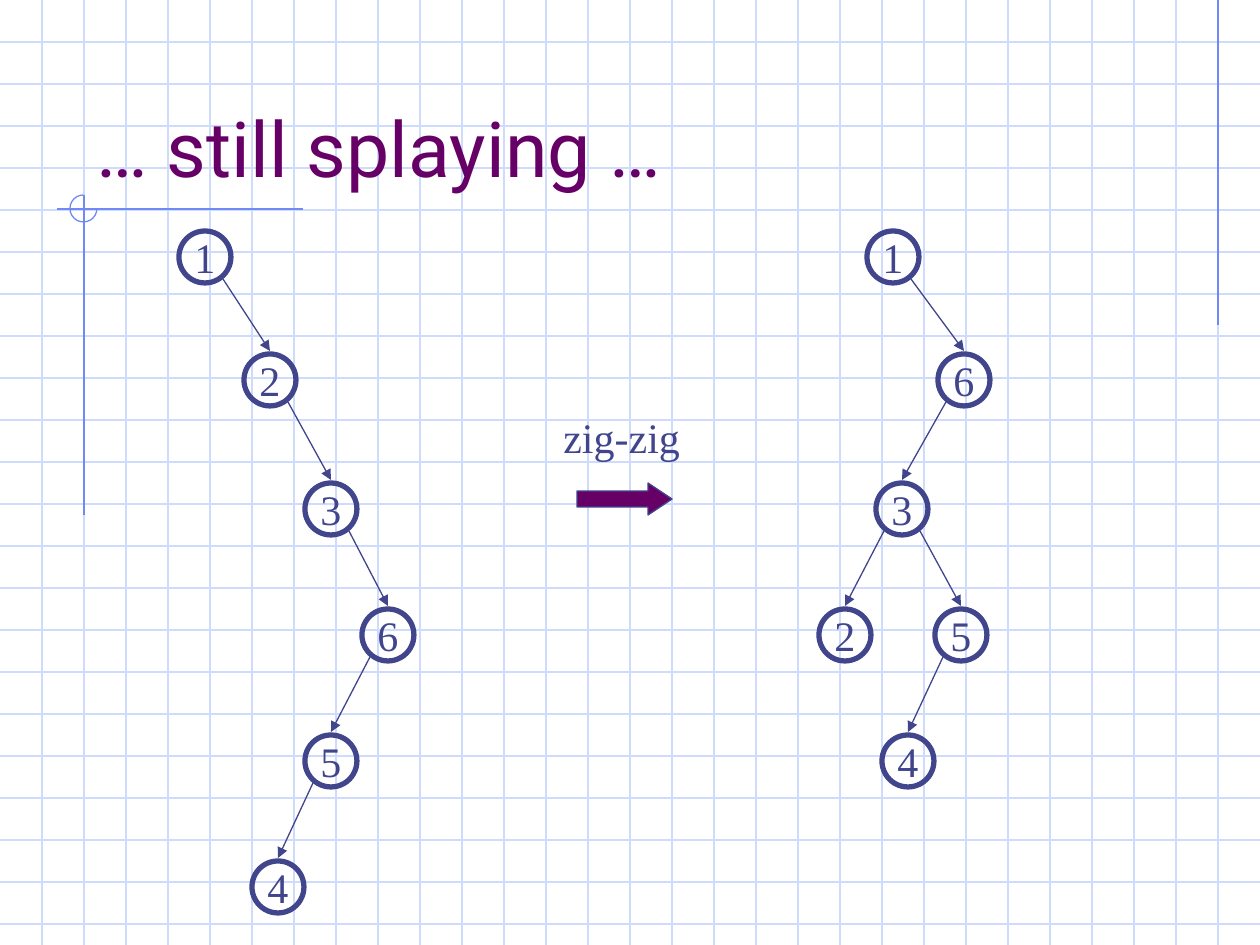
from lxml.etree import SubElement
from pptx import Presentation
from pptx.dml.color import RGBColor
from pptx.enum.shapes import MSO_CONNECTOR, MSO_SHAPE
from pptx.enum.text import MSO_ANCHOR, PP_ALIGN
from pptx.oxml.ns import qn
from pptx.util import Emu, Pt

WIDE, HIGH, STEP = 1260, 945, 42
GRID, RULE, INK, PLUM = "CFDBFD", "6F89F7", "40458C", "660066"
SERIF = "Times New Roman"

TITLE = "… still splaying …"
MOVE = "zig-zig"
RULES = [(1218, 0, 1218, 325), (303, 209, 57, 209), (84, 195, 84, 515)]

# Centre heights of the tree levels
ROWS = [257, 380, 509, 635, 761, 887]
# Each node: key, centre x, level, parent key
BEFORE = [(1, 205, 0, None), (2, 270, 1, 1), (3, 331, 2, 2),
          (6, 388, 3, 3), (5, 331, 4, 6), (4, 278, 5, 5)]
AFTER = [(1, 893, 0, None), (6, 964, 1, 1), (3, 902, 2, 6),
         (2, 845, 3, 3), (5, 961, 3, 3), (4, 908, 4, 5)]
NODE = 52
# Where an edge leaves its parent, and how far above the child it ends
OUT_X, OUT_Y, GAP = 18, 22, 29


def px(n):
    return Emu(round(n * 914400 / 126))


def color(text):
    return RGBColor.from_string(text)


def line(x1, y1, x2, y2, tint, arrow=False):
    link = shapes.add_connector(MSO_CONNECTOR.STRAIGHT, px(x1), px(y1), px(x2), px(y2))
    link.line.color.rgb = color(tint)
    link.line.width = Pt(0.75)
    SubElement(link._element.spPr, qn("a:effectLst"))
    if arrow:
        SubElement(link.line._get_or_add_ln(), qn("a:tailEnd"), type="triangle")


def shape(kind, box, tint, width, fill=None):
    item = shapes.add_shape(kind, *map(px, box))
    item.shadow.inherit = False
    item.line.color.rgb = color(tint)
    item.line.width = Pt(width)
    if fill:
        item.fill.solid()
        item.fill.fore_color.rgb = color(fill)
    else:
        item.fill.background()
    return item


def write(item, text, size, face, tint, align=PP_ALIGN.LEFT, **frame):
    """Put one line of text in a shape; frame holds text frame settings."""
    for name, value in frame.items():
        setattr(item.text_frame, name, value)
    para = item.text_frame.paragraphs[0]
    para.alignment = align
    run = para.add_run()
    run.text = text
    for name, value in {"size": Pt(size), "name": face}.items():
        setattr(run.font, name, value)
    run.font.color.rgb = color(tint)


def tree(nodes):
    spots = {key: (x, ROWS[row]) for key, x, row, _ in nodes}
    for key, x, row, top in nodes:
        y = ROWS[row]
        box = (x - NODE // 2, y - NODE // 2, NODE, NODE)
        write(shape(MSO_SHAPE.OVAL, box, INK, 3), str(key), 24, SERIF, INK,
              PP_ALIGN.CENTER, word_wrap=False, vertical_anchor=MSO_ANCHOR.MIDDLE)
        if top:
            top_x, top_y = spots[top]
            side = OUT_X if x > top_x else -OUT_X
            line(top_x + side, top_y + OUT_Y, x, y - GAP, INK, True)


deck = Presentation()
deck.slide_width, deck.slide_height = px(WIDE), px(HIGH)
shapes = deck.slides.add_slide(deck.slide_layouts[6]).shapes

for y in range(STEP, HIGH, STEP):
    line(0, y, WIDE, y, GRID)
for x in range(STEP, WIDE, STEP):
    line(x, 0, x, HIGH, GRID)
for ends in RULES:
    line(*ends, RULE)
ring = shape(MSO_SHAPE.ARC, (70, 195, 27, 27), RULE, 0.75)
ring.adjustments[0], ring.adjustments[1] = 0, 162  # from 0 to 270 degrees

title = shapes.add_textbox(*map(px, (84, 42, 1071, 157)))
write(title, TITLE, 44, "Roboto", PLUM, word_wrap=True,
      vertical_anchor=MSO_ANCHOR.BOTTOM)

arrow = shape(MSO_SHAPE.RIGHT_ARROW, (577, 483, 95, 32), INK, 0.75, PLUM)
arrow.adjustments[0], arrow.adjustments[1] = 0.5, 0.75
label = shapes.add_textbox(*map(px, (551, 405, 146, 63)))
write(label, MOVE, 24, SERIF, INK, word_wrap=True)

tree(BEFORE)
tree(AFTER)
deck.save("out.pptx")
